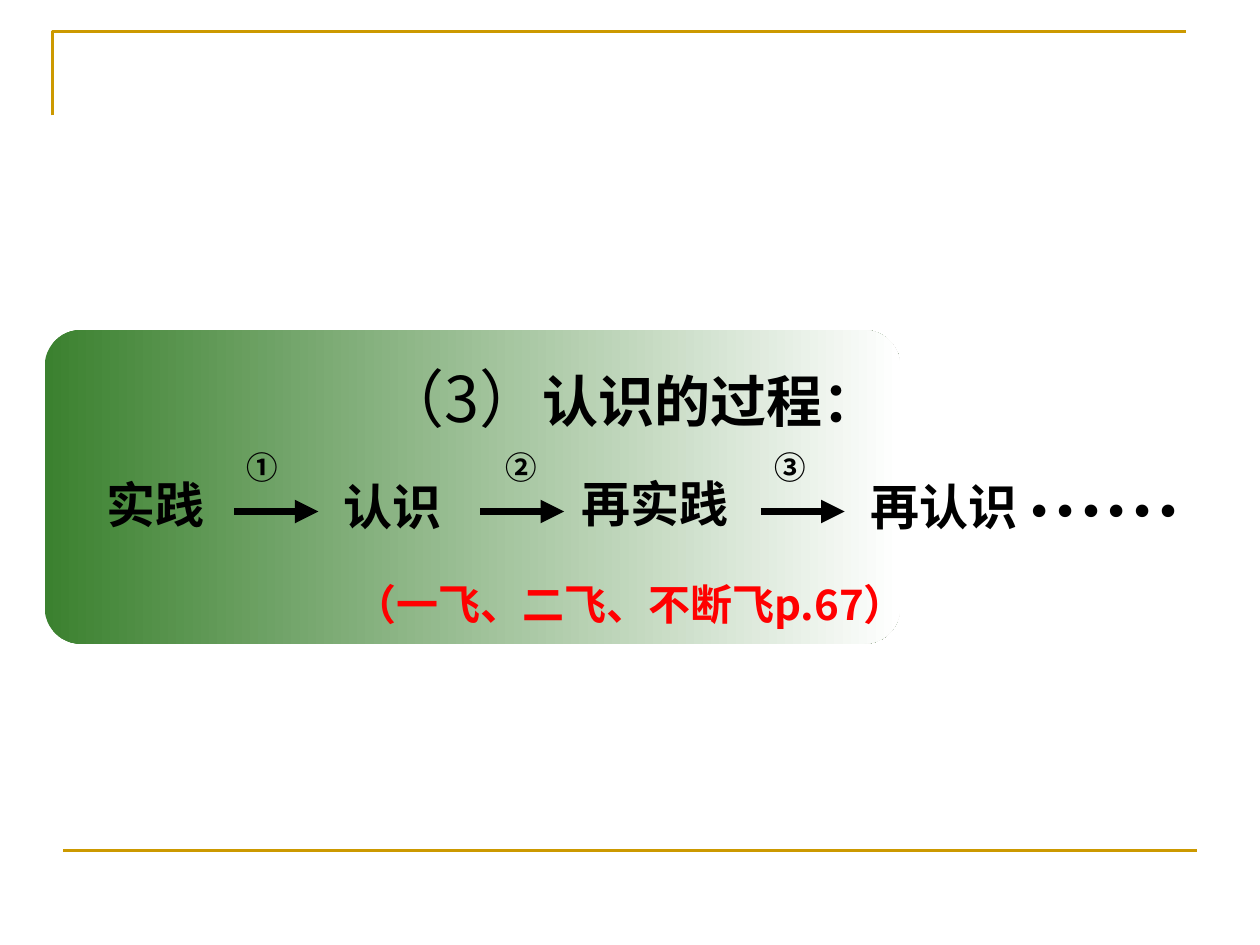
from dataclasses import dataclass

from lxml import etree
from pptx import Presentation
from pptx.dml.color import RGBColor
from pptx.enum.shapes import MSO_CONNECTOR, MSO_SHAPE
from pptx.enum.text import PP_ALIGN
from pptx.oxml.ns import qn
from pptx.shapes.connector import Connector
from pptx.shapes.shapetree import GroupShapes, SlideShapes
from pptx.slide import Slide
from pptx.util import Pt

STRAIGHT = MSO_CONNECTOR.STRAIGHT
ROUNDED = MSO_SHAPE.ROUNDED_RECTANGLE
LEFT, CENTER = PP_ALIGN.LEFT, PP_ALIGN.CENTER

COLORS = {"frame": "CC9900", "green": "3B812F", "white": "FFFFFF",
          "black": "000000", "red": "FF0000"}
SANS, SERIF, LATIN = "Noto Sans CJK SC", "Times New Roman", "Arial"
ARROW_LENGTH, ARROW_Y = 48, 292.3


@dataclass(frozen=True)
class Piece:
    text: str
    size: float
    font: str
    color: str = "black"
    bold: bool = True


@dataclass(frozen=True)
class Label:
    left: float
    top: float
    width: float
    height: float
    pieces: tuple[Piece, ...]
    align: PP_ALIGN = LEFT
    wrap: bool = True


@dataclass(frozen=True)
class Transition:
    arrow_left: float
    number: str
    number_left: float


TITLE = Label(0, 201.6, 720, 51, (
    Piece("（3）", 36, SANS, bold=False), Piece("认识的过程：", 32, SANS)), CENTER)
STEPS = (
    Label(54, 267.8, 90.7, 41, (Piece("实践", 28, SERIF),)),
    Label(189.4, 268.6, 108, 41, (Piece("认识", 28, SERIF),)),
    Label(325.4, 267.1, 124.6, 41, (Piece("再实践", 28, SERIF),)),
    Label(490.3, 268.6, 162, 41, (Piece("再认识", 28, SERIF),)),
)
ELLIPSIS = Label(559.4, 247.7, 142.6, 60.5, (Piece("……", 44, SERIF),), CENTER)
SUMMARY = Label(0, 326.9, 720, 36, (
    Piece("（一飞、二飞、不断飞", 24, LATIN, "red"),
    Piece("p.67", 24, SANS, "red"),
    Piece("）", 24, LATIN, "red")), CENTER)
TRANSITIONS = (Transition(134, "①", 133.2), Transition(274.4, "②", 281.5),
               Transition(434.7, "③", 434.9))


def rgb(name: str) -> RGBColor:
    """Look up a named colour."""
    return RGBColor.from_string(COLORS[name])


def add_label(shapes: SlideShapes | GroupShapes, label: Label) -> None:
    """Write one line of text made of formatted pieces."""
    box = shapes.add_textbox(Pt(label.left), Pt(label.top), Pt(label.width), Pt(label.height))
    box.text_frame.word_wrap = label.wrap
    paragraph = box.text_frame.paragraphs[0]
    paragraph.alignment = label.align
    for piece in label.pieces:
        run = paragraph.add_run()
        run.text = piece.text
        run.font.size = Pt(piece.size)
        run.font.bold = piece.bold
        run.font.color.rgb = rgb(piece.color)
        run.font.name = piece.font
        east_asian = etree.SubElement(run.font._element, qn("a:ea"))
        east_asian.set("typeface", SANS)


def add_line(slide: Slide, left: float, right: float, y: float,
             color: str, weight: float) -> Connector:
    """Draw a level line without a shadow."""
    line = slide.shapes.add_connector(STRAIGHT, Pt(left), Pt(y), Pt(right), Pt(y))
    line.line.color.rgb = rgb(color)
    line.line.width = Pt(weight)
    etree.SubElement(line._element.spPr, qn("a:effectLst"))
    return line


def add_frame(slide: Slide) -> None:
    """Draw the corner rule at the top and the rule at the bottom."""
    builder = slide.shapes.build_freeform(Pt(30), Pt(66))
    builder.add_line_segments([(Pt(30), Pt(18)), (Pt(678), Pt(18))], close=False)
    corner = builder.convert_to_shape()
    corner.shadow.inherit = False
    corner.fill.background()
    corner.line.color.rgb = rgb("frame")
    corner.line.width = Pt(1.5)
    add_line(slide, 36, 684, 486, "frame", 1.5)


def add_panel(slide: Slide) -> None:
    """Group the fading green panel with its title."""
    group = slide.shapes.add_group_shape()
    panel = group.shapes.add_shape(ROUNDED, Pt(25.5), Pt(188.6), Pt(488.9), Pt(179.3))
    panel.adjustments[0] = 0.115
    panel.shadow.inherit = False
    panel.line.fill.background()
    panel.fill.gradient()
    panel.fill.gradient_angle = 0
    for stop, color in zip(panel.fill.gradient_stops, ("green", "white")):
        stop.color.rgb = rgb(color)
    add_label(group.shapes, TITLE)


def add_transition(slide: Slide, transition: Transition) -> None:
    """Draw an arrow between two steps and its number above."""
    left = transition.arrow_left
    arrow = add_line(slide, left, left + ARROW_LENGTH, ARROW_Y, "black", 4.5)
    head = etree.SubElement(arrow.line._get_or_add_ln(), qn("a:tailEnd"))
    head.set("type", "triangle")
    add_label(slide.shapes, Label(transition.number_left, 252.4, 33.1, 28.8,
                                  (Piece(transition.number, 18, SANS),), CENTER, False))


def main() -> None:
    """Build the slide on the process of knowledge."""
    deck = Presentation()
    deck.slide_width, deck.slide_height = Pt(720), Pt(540)
    slide = deck.slides.add_slide(deck.slide_layouts[6])
    add_frame(slide)
    add_panel(slide)
    for transition in TRANSITIONS:
        add_transition(slide, transition)
    for label in (*STEPS, ELLIPSIS, SUMMARY):
        add_label(slide.shapes, label)
    deck.save("out.pptx")


if __name__ == "__main__":
    main()
